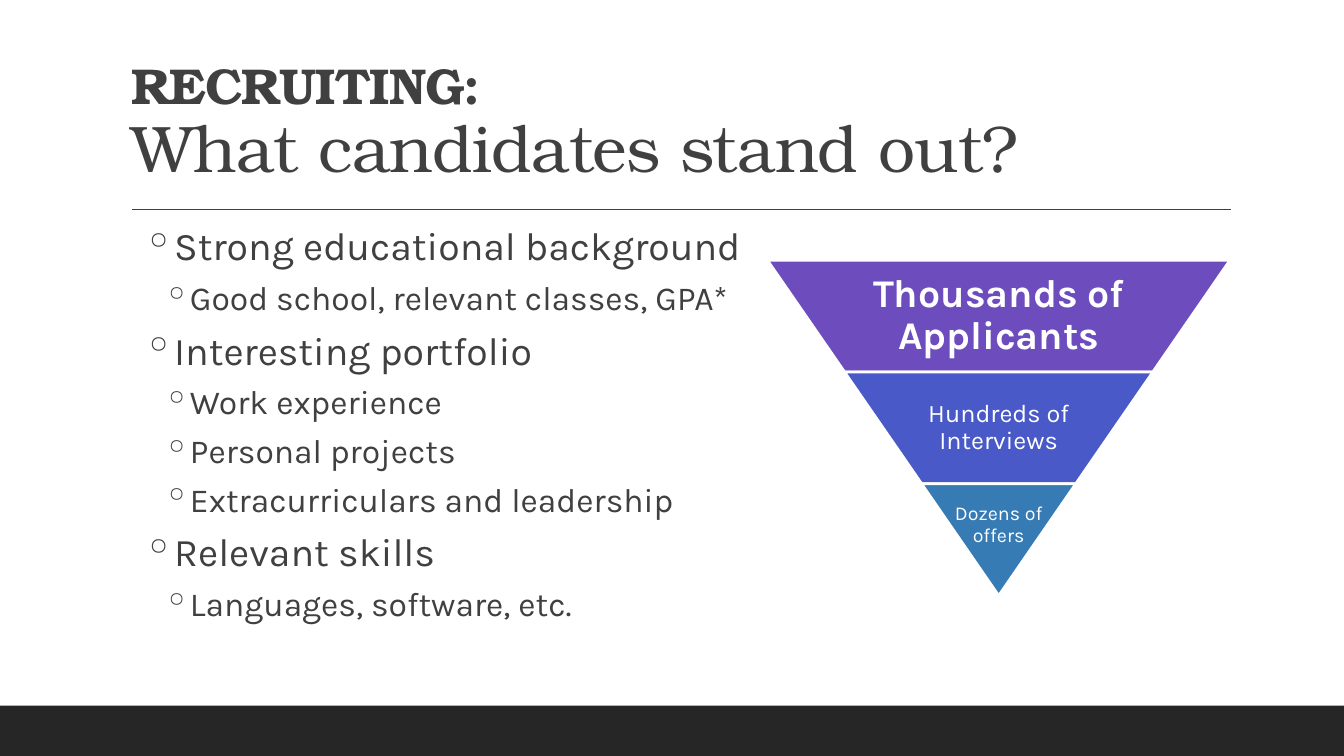
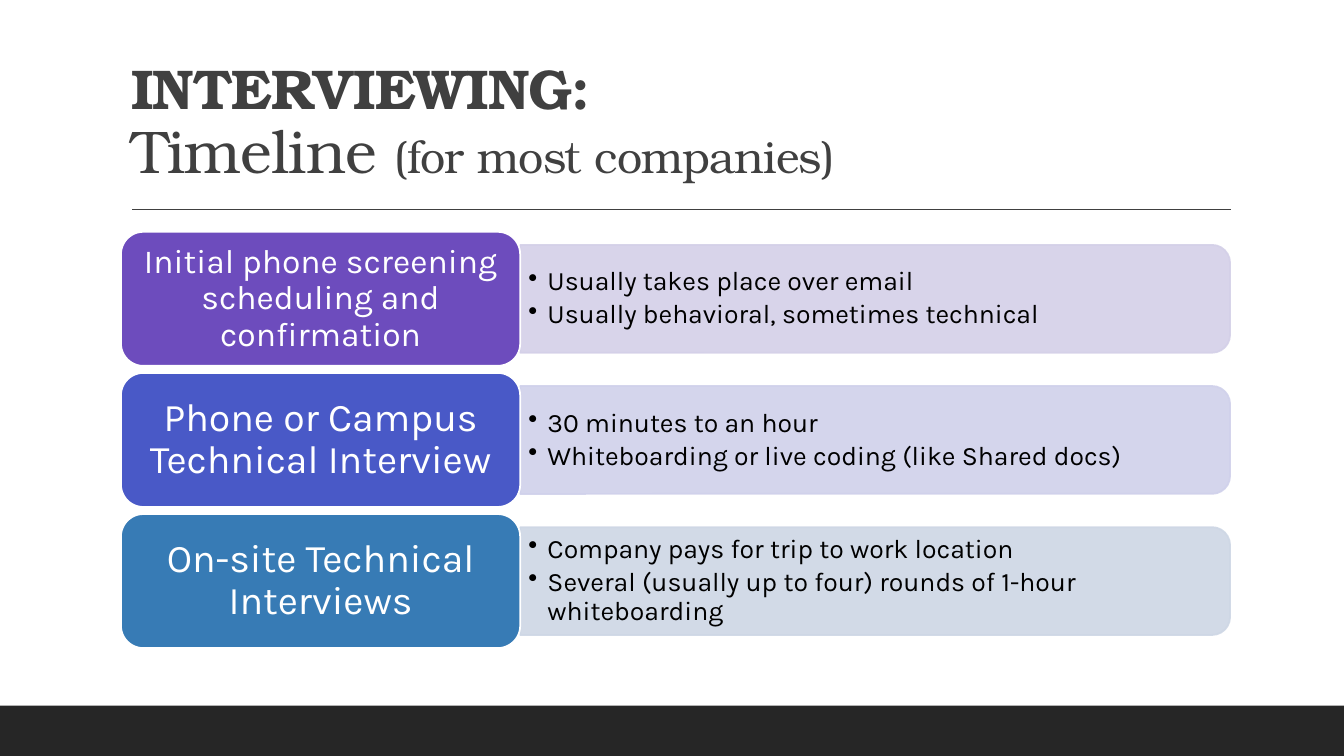
import lxml.etree
import pptx
import pptx.dml.color
import pptx.enum.shapes
import pptx.enum.text
import pptx.oxml
import pptx.oxml.ns
import pptx.util

SHAPE = pptx.enum.shapes.MSO_SHAPE
ALIGN = pptx.enum.text.PP_ALIGN
ANCHOR = pptx.enum.text.MSO_ANCHOR
qn = pptx.oxml.ns.qn

COLOURS = {
    "ink": "404040", "band": "262626", "white": "FFFFFF", "black": "000000",
    "purple": "6D4CBD", "indigo": "4959C7", "blue": "377BB5",
    "pale purple": "D4D0E8", "pale indigo": "D0D1EB", "pale blue": "CED7E5",
}
HEAD_FONT, TEXT_FONT = "TeX Gyre Bonum", "Karla"

# The grid has square cells: 75 rows and 133.3 columns
ROWS, COLUMNS = 75, 133.3
CELL = pptx.util.Inches(0.1)
LEFT, WIDTH = 12, 110


def cells(count):
    return round(count * CELL)


def set_values(target, values):
    for name, value in values.items():
        setattr(target, name, value)


class Pages:
    """Holds the deck, its style and the current page."""

    def __init__(self):
        self.deck = pptx.Presentation()
        set_values(self.deck, {"slide_width": cells(COLUMNS), "slide_height": cells(ROWS)})
        self.page = None

    def colour(self, name):
        return pptx.dml.color.RGBColor.from_string(COLOURS[name])

    def new_page(self, heading, spans):
        """Adds a page with band, rule and a two-line title."""
        self.page = self.deck.slides.add_slide(self.deck.slide_layouts.get_by_name("Title Only"))
        self.shape(SHAPE.RECTANGLE, 0, 70, COLUMNS, 5, "band")
        self.rule(13.1, 20.8, 122.1)
        title = self.page.shapes.title
        set_values(title, dict(zip(("left", "top", "width", "height"),
                                   map(cells, (LEFT, 3.1, WIDTH, 15.9)))))
        self.frame(title, ANCHOR.BOTTOM, (0.1, 0.05))
        para = title.text_frame.paragraphs[0]
        set_values(para, {"alignment": ALIGN.LEFT, "line_spacing": 0.9})
        self.span(para, *heading, "ink", HEAD_FONT, True, -50)
        para.add_line_break()
        for words, size in spans:
            self.span(para, words, size, "ink", HEAD_FONT, False, -50)

    def rule(self, left, top, right):
        line = self.page.shapes.add_connector(
            pptx.enum.shapes.MSO_CONNECTOR.STRAIGHT, *map(cells, (left, top, right, top)))
        line.line.color.rgb = self.colour("ink")
        line.line.width = pptx.util.Pt(1)
        lxml.etree.SubElement(line._element.spPr, qn("a:effectLst"))

    def shape(self, kind, left, top, width, height, fill, edge=None, weight=1.25,
              turn=0, opacity=100):
        item = self.page.shapes.add_shape(kind, *map(cells, (left, top, width, height)))
        item.shadow.inherit = False
        item.rotation = turn
        item.fill.solid()
        item.fill.fore_color.rgb = self.colour(fill)
        if edge:
            item.line.color.rgb = self.colour(edge)
            item.line.width = pptx.util.Pt(weight)
        else:
            item.line.fill.background()
        if opacity < 100:
            for tint in item._element.spPr.iter(qn("a:srgbClr")):
                lxml.etree.SubElement(tint, qn("a:alpha"), val=str(opacity * 1000))
        return item

    def frame(self, box, anchor, insets):
        side, end = map(pptx.util.Inches, insets)
        set_values(box.text_frame, {
            "word_wrap": True, "auto_size": pptx.enum.text.MSO_AUTO_SIZE.NONE,
            "vertical_anchor": anchor, "margin_left": side, "margin_right": side,
            "margin_top": end, "margin_bottom": end})

    def text_box(self, left, top, width, height):
        return self.page.shapes.add_textbox(*map(cells, (left, top, width, height)))

    def span(self, para, words, size, colour, font=TEXT_FONT, bold=False, spacing=0):
        span = para.add_run()
        span.text = words
        set_values(span.font, {"name": font, "size": pptx.util.Pt(size), "bold": bold})
        span.font.color.rgb = self.colour(colour)
        if spacing:
            span.font._element.set("spc", str(spacing))

    def label(self, box, lines, size, bold=False, insets=(0.03, 0.03)):
        """Writes white centred text in a box."""
        self.frame(box, ANCHOR.MIDDLE, insets)
        para = box.text_frame.paragraphs[0]
        set_values(para, {"alignment": ALIGN.CENTER, "line_spacing": 0.9})
        for index, words in enumerate(lines.split("\n")):
            if index:
                para.add_line_break()
            self.span(para, words, size, "white", bold=bold)

    def bullets(self, box, items, mark, colour, hang, values):
        """Writes bulleted items, each given as words, size and indent."""
        for index, (words, size, indent) in enumerate(items):
            text = box.text_frame
            para = text.add_paragraph() if index else text.paragraphs[0]
            set_values(para, values)
            self.span(para, words, size, colour)
            props = para._element.get_or_add_pPr()
            props.set("marL", str(pptx.util.Inches(indent)))
            props.set("indent", str(-pptx.util.Inches(hang)))
            lxml.etree.SubElement(props, qn("a:buChar"), char=mark)


def recruiting(pages):
    pages.new_page(("RECRUITING:", 36), [("What candidates stand out?", 47)])

    # Outline: level one and level two
    one, two = (28, 0.42), (24, 0.62)
    outline = [
        ("Strong educational background", *one),
        ("Good school, relevant classes, GPA*", *two),
        ("Interesting portfolio", *one),
        ("Work experience", *two),
        ("Personal projects", *two),
        ("Extracurriculars and leadership", *two),
        ("Relevant skills", *one),
        ("Languages, software, etc.", *two),
    ]
    box = pages.text_box(LEFT, 21.5, WIDTH, 50.4)
    pages.frame(box, ANCHOR.TOP, (0, 0.05))
    pages.bullets(box, outline, "◦", "ink", 0.2,
                  {"space_before": pptx.util.Pt(2), "space_after": pptx.util.Pt(4)})

    # Funnel: each tier is one step narrower
    middle, first, step, height = 99.05, 25.8, 15.3, 11.1
    tiers = [
        ("Thousands of Applicants", 28, True, "purple", 29.8, height),
        ("Hundreds of Interviews", 18, False, "indigo", 19.9, height),
        ("Dozens of\noffers", 14, False, "blue", step, 8.2),
    ]
    for index, (words, size, bold, fill, wide, high) in enumerate(tiers):
        width, top = step * (len(tiers) - index), first + index * height
        tier = pages.shape(SHAPE.TRAPEZOID, middle - width / 2, top, width, height,
                           fill, "white", 2, turn=180)
        tier.adjustments[0] = 0.69
        pages.label(pages.text_box(middle - wide / 2, top, wide, high), words, size, bold)


def interviewing(pages):
    pages.new_page(("INTERVIEWING:", 40), [("Timeline ", 43), ("(for most companies)", 32)])

    stages = [
        ("Initial phone screening scheduling and confirmation", 24, 0.1, "purple",
         ["Usually takes place over email", "Usually behavioral, sometimes technical"]),
        ("Phone or Campus Technical Interview", 28, 0.12, "indigo",
         ["30 minutes to an hour", "Whiteboarding or live coding (like Shared docs)"]),
        ("On-site Technical Interviews", 28, 0.12, "blue",
         ["Company pays for trip to work location",
          "Several (usually up to four) rounds of 1-hour whiteboarding"]),
    ]
    first, step, height, card = 23, 14, 13.3, 39.6
    bar_length, bar_height, text_height = WIDTH - card, 10.7, 9.6
    split = LEFT + card
    for index, (words, size, inset, fill, details) in enumerate(stages):
        top = first + index * step
        centre = top + height / 2

        # Detail bar, turned so that its round corners face right
        pale = "pale " + fill
        pages.shape(SHAPE.ROUND_2_SAME_RECTANGLE, split + (bar_length - bar_height) / 2,
                    centre - bar_length / 2, bar_height, bar_length, pale, pale,
                    turn=90, opacity=90)
        box = pages.text_box(split, centre - text_height / 2, 69.9, text_height)
        pages.frame(box, ANCHOR.MIDDLE, (0.08, 0.04))
        pages.bullets(box, [(line, 19, 0.19) for line in details], "•", "black", 0.19,
                      {"line_spacing": 0.9, "space_after": pptx.util.Pt(3)})

        # Stage card
        stage = pages.shape(SHAPE.ROUNDED_RECTANGLE, LEFT, top, card, height, fill, "white")
        pages.label(stage, words, size, insets=(inset, inset / 2))


def main():
    pages = Pages()
    recruiting(pages)
    interviewing(pages)
    pages.deck.save("out.pptx")


if __name__ == "__main__":
    main()
